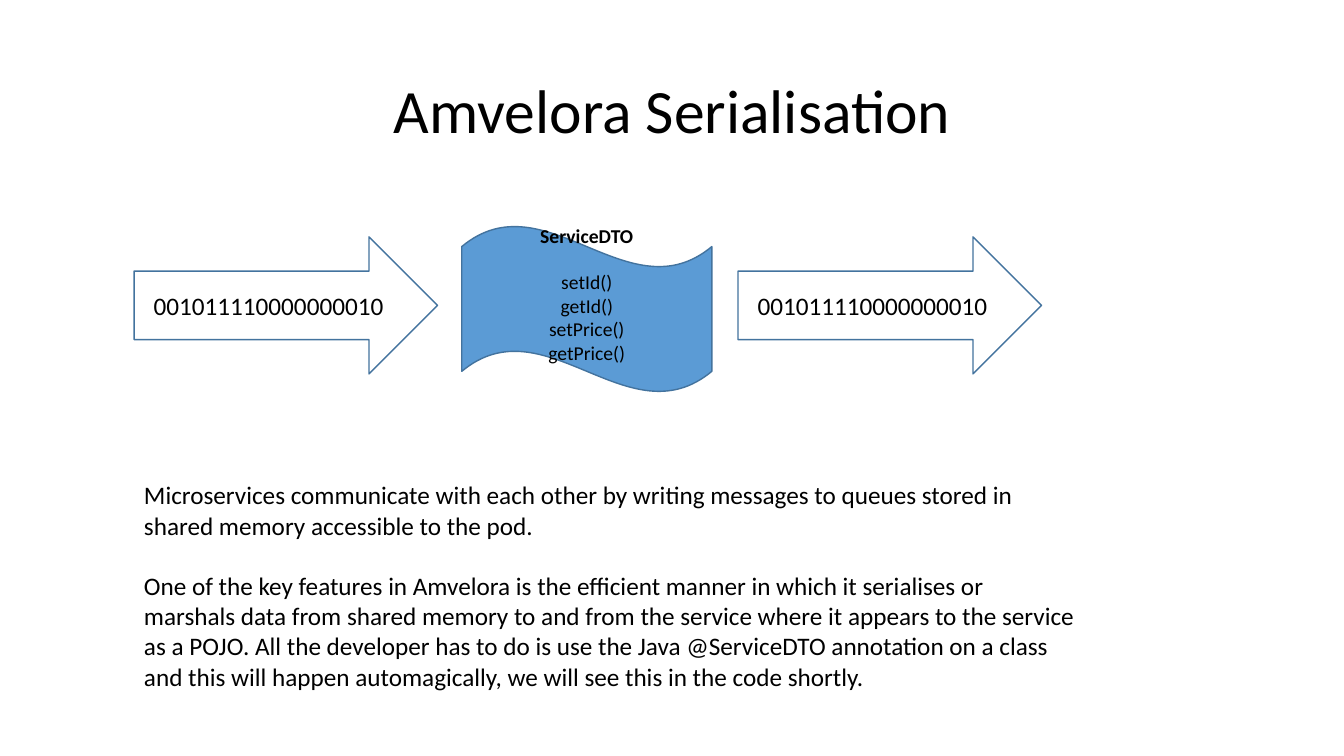
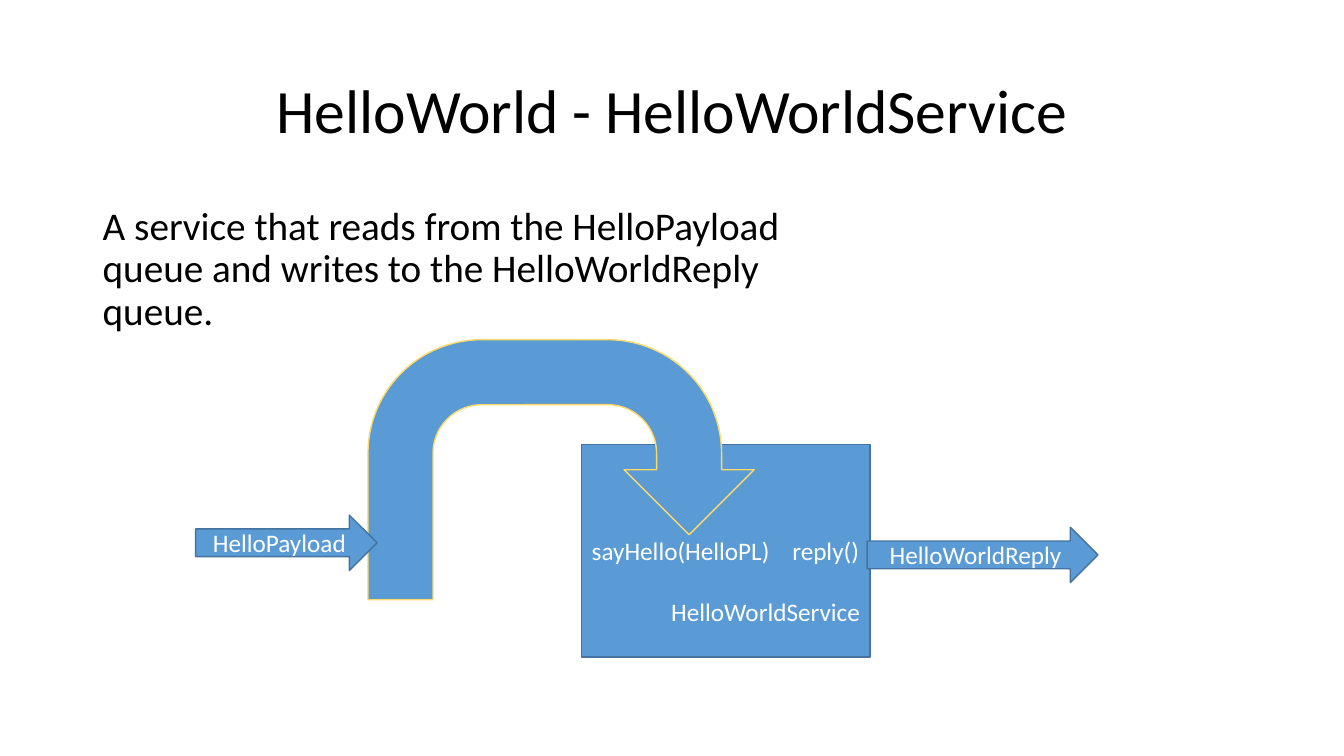
import pptx
import pptx.util
import pptx.dml.color
import pptx.enum.shapes
import pptx.enum.text
import pptx.oxml
from pptx.util import Inches, Pt

MSO = pptx.enum.shapes.MSO_SHAPE
ALIGN = pptx.enum.text.PP_ALIGN
ANCHOR = pptx.enum.text.MSO_ANCHOR
BLACK = pptx.dml.color.RGBColor(0x00, 0x00, 0x00)
WHITE = pptx.dml.color.RGBColor(0xFF, 0xFF, 0xFF)
BLUE = pptx.dml.color.RGBColor(0x5B, 0x9B, 0xD5)
DARK_BLUE = pptx.dml.color.RGBColor(0x43, 0x73, 0x9E)
YELLOW = pptx.dml.color.RGBColor(0xFF, 0xD9, 0x66)
FONT = "Calibri"

deck = pptx.Presentation()
deck.slide_width, deck.slide_height = Inches(13.33), Inches(7.5)


def write(shape, lines, size=18, color=BLACK, align=ALIGN.LEFT,
          anchor=ANCHOR.MIDDLE, spacing=1.0):
    """Fill a shape with one paragraph per line and return the paragraphs."""
    frame = shape.text_frame
    frame.word_wrap = True
    frame.vertical_anchor = anchor
    frame.text = "\n".join(lines)
    for paragraph in frame.paragraphs:
        paragraph.alignment = align
        paragraph.line_spacing = spacing
        paragraph.font.name = FONT
        paragraph.font.size = Pt(size)
        paragraph.font.color.rgb = color
    return frame.paragraphs


def draw(slide, kind, box, fill=BLUE, line=DARK_BLUE):
    """Add a flat outlined shape; fill None leaves it open."""
    shape = slide.shapes.add_shape(kind, *map(Inches, box))
    shape.shadow.inherit = False
    if fill is None:
        shape.fill.background()
    else:
        shape.fill.solid()
        shape.fill.fore_color.rgb = fill
    shape.line.color.rgb = line
    shape.line.width = Pt(1)
    return shape


# Slides with their shared title
slides = []
for heading in ("Amvelora Serialisation", "HelloWorld - HelloWorldService"):
    slide = deck.slides.add_slide(deck.slide_layouts[6])
    title = slide.shapes.add_textbox(Inches(0.92), Inches(0.4), Inches(11.5), Inches(1.45))
    write(title, [heading], 44, align=ALIGN.CENTER, spacing=0.9)
    slides.append(slide)
serialisation, hello_world = slides

# Serialisation: explanation
explanation = serialisation.shapes.add_textbox(
    Inches(1.33), Inches(4.71), Inches(9.44), Inches(2.22))
explanation_lines = write(explanation, [
    "Microservices communicate with each other by writing messages to queues "
    "stored in shared memory accessible to the pod.",
    "One of the key features in Amvelora is the efficient manner in which it "
    "serialises or marshals data from shared memory to and from the service where "
    "it appears to the service as a POJO. All the developer has to do is use the "
    "Java @ServiceDTO annotation on a class and this will happen automagically, "
    "we will see this in the code shortly.",
], anchor=ANCHOR.TOP)
explanation_lines[0].space_after = Pt(21.5)

# Serialisation: bytes in and out
for left in (1.33, 7.32):
    byte_stream = draw(serialisation, MSO.RIGHT_ARROW, (left, 2.35, 3.01, 1.36), fill=None)
    write(byte_stream, ["001011110000000010"], align=ALIGN.CENTER)

# Serialisation: the object between them
service_dto = draw(serialisation, MSO.WAVE, (4.58, 2.24, 2.48, 1.65))
service_dto.text_frame.margin_bottom = Inches(0.35)
dto_lines = write(service_dto, ["ServiceDTO", "setId()", "getId()", "setPrice()", "getPrice()"],
                  14, align=ALIGN.CENTER)
dto_lines[0].font.bold = True
dto_lines[0].space_after = Pt(16.5)

# HelloWorld: description
description = hello_world.shapes.add_textbox(
    Inches(0.92), Inches(2), Inches(7.72), Inches(5.13))
write(description, ["A service that reads from the HelloPayload queue and writes to "
                    "the HelloWorldReply queue."], 28, anchor=ANCHOR.TOP, spacing=0.9)

# HelloWorld: service with its two methods set apart by a tab stop
service = draw(hello_world, MSO.RECTANGLE, (5.77, 4.41, 2.86, 2.11))
service.text_frame.margin_top = Inches(0.9)
methods, service_name = write(service, ["sayHello(HelloPL)\treply()", "HelloWorldService"],
                              color=WHITE, anchor=ANCHOR.TOP)
methods.space_after = Pt(22)
service_name.alignment = ALIGN.RIGHT
tab_list = pptx.oxml.parse_xml(
    '<a:tabLst xmlns:a="http://schemas.openxmlformats.org/drawingml/2006/main">'
    f'<a:tab pos="{Inches(1.99)}" algn="l"/></a:tabLst>')
methods.font._element.addprevious(tab_list)

# HelloWorld: path of the payload into the service
draw(hello_world, MSO.U_TURN_ARROW, (3.65, 3.37, 3.83, 2.58), line=YELLOW)

# HelloWorld: queues
for queue, box in (("HelloPayload", (1.94, 5.11, 1.8, 0.55)),
                   ("HelloWorldReply", (8.6, 5.23, 2.29, 0.55))):
    write(draw(hello_world, MSO.RIGHT_ARROW, box), [queue], color=WHITE, align=ALIGN.CENTER)

deck.save("out.pptx")
